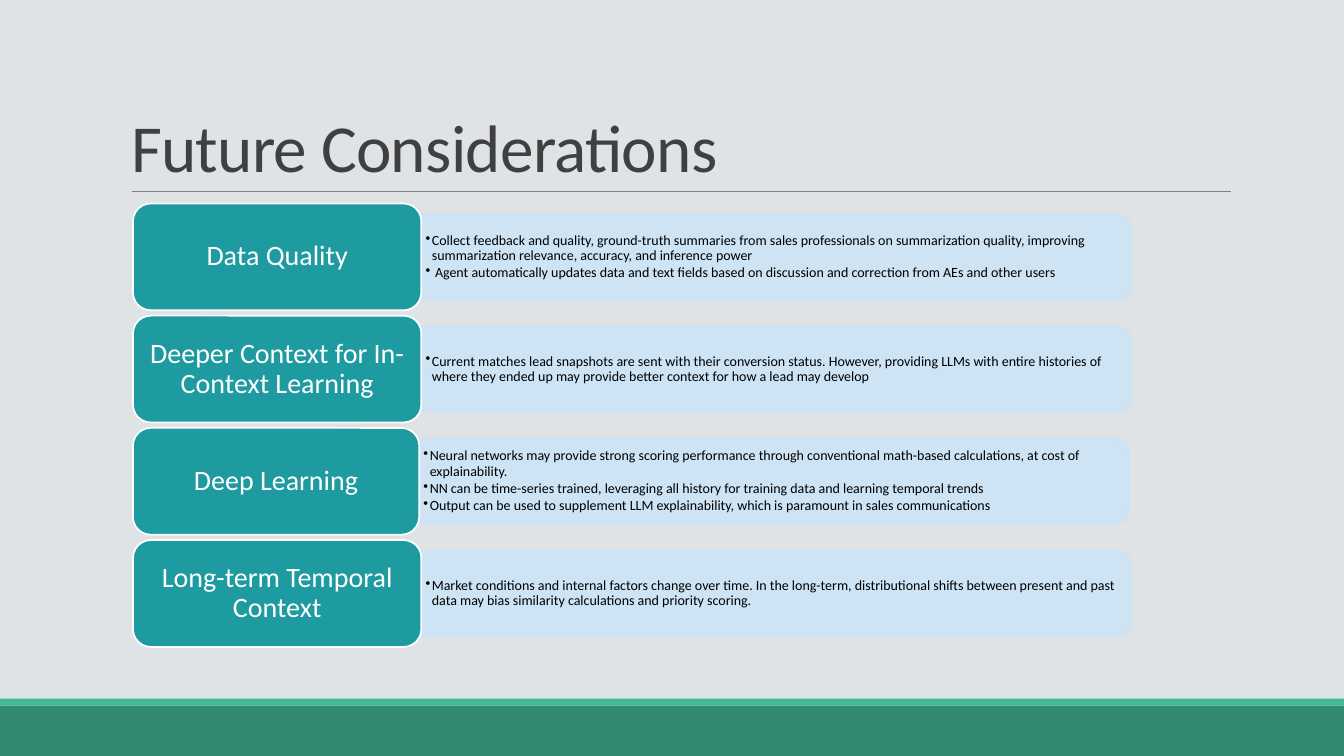
from lxml import etree
from pptx import Presentation
from pptx.dml.color import RGBColor
from pptx.enum import shapes, text
from pptx.oxml import ns
from pptx.util import Pt

BACKGROUND = RGBColor(0xDF, 0xE3, 0xE5)
DARK_GREEN = RGBColor(0x32, 0x8B, 0x71)
LIGHT_GREEN = RGBColor(0x42, 0xBA, 0x97)
GREY = RGBColor(0x80, 0x80, 0x80)
TITLE_GREY = RGBColor(0x40, 0x40, 0x40)
PANEL_BLUE = RGBColor(0xCD, 0xE3, 0xF5)
TEAL = RGBColor(0x1D, 0x9B, 0xA1)
WHITE = RGBColor(0xFF, 0xFF, 0xFF)
BLACK = RGBColor(0, 0, 0)

PAGE_WIDTH, PAGE_HEIGHT = 960, 540
FIRST_CENTRE, ROW_PITCH = 183.5, 80.15
CARD_LEFT, CARD_HEIGHT = 95, 76.3
PANEL_WIDTH, PANEL_HEIGHT = 507, 61.2
BULLETS_WIDTH, BULLETS_HEIGHT = 504, 54.7

# Heading, card width, bullets
ROWS = [
    ("Data Quality", 206, [
        "Collect feedback and quality, ground-truth summaries from sales professionals on "
        "summarization quality, improving summarization relevance, accuracy, and inference power",
        " Agent automatically updates data and text fields based on discussion and correction "
        "from AEs and other users",
    ]),
    ("Deeper Context for In-Context Learning", 206, [
        "Current matches lead snapshots are sent with their conversion status. However, providing "
        "LLMs with entire histories of where they ended up may provide better context for how "
        "a lead may develop",
    ]),
    ("Deep Learning", 204.5, [
        "Neural networks may provide strong scoring performance through conventional math-based "
        "calculations, at cost of explainability.",
        "NN can be time-series trained, leveraging all history for training data and learning "
        "temporal trends",
        "Output can be used to supplement LLM explainability, which is paramount in sales "
        "communications",
    ]),
    ("Long-term Temporal Context", 206, [
        "Market conditions and internal factors change over time. In the long-term, distributional "
        "shifts between present and past data may bias similarity calculations and priority scoring.",
    ]),
]


def set_all(target, values):
    for name, value in values.items():
        setattr(target, name, value)


def format_frame(frame, anchor, side, edge):
    set_all(frame, {
        "word_wrap": True, "auto_size": text.MSO_AUTO_SIZE.NONE, "vertical_anchor": anchor,
        "margin_left": Pt(side), "margin_right": Pt(side),
        "margin_top": Pt(edge), "margin_bottom": Pt(edge),
    })


def write_paragraph(para, words, size, colour, **layout):
    set_all(para, layout)
    span = para.add_run()
    span.text = words
    set_all(span.font, {"name": "Calibri", "size": Pt(size)})
    span.font.color.rgb = colour
    return span


def add_block(page, kind, left, top, width, height, fill, line=None):
    box = page.shapes.add_shape(kind, Pt(left), Pt(top), Pt(width), Pt(height))
    box.shadow.inherit = False
    box.fill.solid()
    box.fill.fore_color.rgb = fill
    if line is None:
        box.line.fill.background()
    else:
        box.line.color.rgb = line
        box.line.width = Pt(1.25)
    return box


def add_rule(page, left, right, top):
    rule = page.shapes.add_connector(
        shapes.MSO_CONNECTOR.STRAIGHT, Pt(left), Pt(top), Pt(right), Pt(top))
    rule.line.color.rgb = GREY
    rule.line.width = Pt(0.5)
    etree.SubElement(rule._element.spPr, ns.qn("a:effectLst"))


def fill_title(title, words):
    set_all(title, {"left": Pt(86.4), "top": Pt(22.5), "width": Pt(792), "height": Pt(114.2)})
    format_frame(title.text_frame, text.MSO_ANCHOR.BOTTOM, 7.2, 3.6)
    span = write_paragraph(title.text_frame.paragraphs[0], words, 48, TITLE_GREY,
                           alignment=text.PP_ALIGN.LEFT, line_spacing=0.85)
    span.font._element.set("spc", "-50")


def add_panel(page, left, centre):
    """Draw a panel with rounded right corners, as a quarter-turned shape."""
    panel = add_block(page, shapes.MSO_SHAPE.ROUND_2_SAME_RECTANGLE,
                      left + (PANEL_WIDTH - PANEL_HEIGHT) / 2, centre - PANEL_WIDTH / 2,
                      PANEL_HEIGHT, PANEL_WIDTH, PANEL_BLUE, PANEL_BLUE)
    panel.rotation = 90
    for colour in panel._element.spPr.iter(ns.qn("a:srgbClr")):
        etree.SubElement(colour, ns.qn("a:alpha"), val="90000")


def add_bullets(page, left, centre, bullets):
    box = page.shapes.add_textbox(Pt(left), Pt(centre - BULLETS_HEIGHT / 2),
                                  Pt(BULLETS_WIDTH), Pt(BULLETS_HEIGHT))
    frame = box.text_frame
    format_frame(frame, text.MSO_ANCHOR.MIDDLE, 3, 1.5)
    for index, words in enumerate(bullets):
        para = frame.add_paragraph() if index else frame.paragraphs[0]
        properties = para._p.get_or_add_pPr()
        properties.set("marL", str(Pt(4.5)))
        properties.set("indent", str(-Pt(4.5)))
        etree.SubElement(properties, ns.qn("a:buChar"), char="•")
        write_paragraph(para, words, 10, BLACK, line_spacing=0.9, space_after=Pt(1.5))


def add_card(page, centre, width, heading):
    card = add_block(page, shapes.MSO_SHAPE.ROUNDED_RECTANGLE, CARD_LEFT,
                     centre - CARD_HEIGHT / 2, width, CARD_HEIGHT, TEAL, WHITE)
    # The rounded corners already inset the text area by about 3.7 pt
    format_frame(card.text_frame, text.MSO_ANCHOR.MIDDLE, 5.7, 2.9)
    write_paragraph(card.text_frame.paragraphs[0], heading, 20, WHITE,
                    alignment=text.PP_ALIGN.CENTER, line_spacing=0.9)


def main():
    deck = Presentation()
    set_all(deck, {"slide_width": Pt(PAGE_WIDTH), "slide_height": Pt(PAGE_HEIGHT)})
    page = deck.slides.add_slide(deck.slide_layouts[5])
    page.background.fill.solid()
    page.background.fill.fore_color.rgb = BACKGROUND

    add_block(page, shapes.MSO_SHAPE.RECTANGLE, 0, 504, PAGE_WIDTH, 36, DARK_GREEN)
    add_block(page, shapes.MSO_SHAPE.RECTANGLE, 0, 499, PAGE_WIDTH, 5, LIGHT_GREEN)
    add_rule(page, 94.3, 879, 136.8)
    fill_title(page.shapes.title, "Future Considerations")

    for index, (heading, card_width, bullets) in enumerate(ROWS):
        centre = FIRST_CENTRE + index * ROW_PITCH
        panel_left = CARD_LEFT + card_width
        add_panel(page, panel_left, centre)
        add_bullets(page, panel_left, centre, bullets)
        add_card(page, centre, card_width, heading)

    deck.save("out.pptx")


if __name__ == "__main__":
    main()
